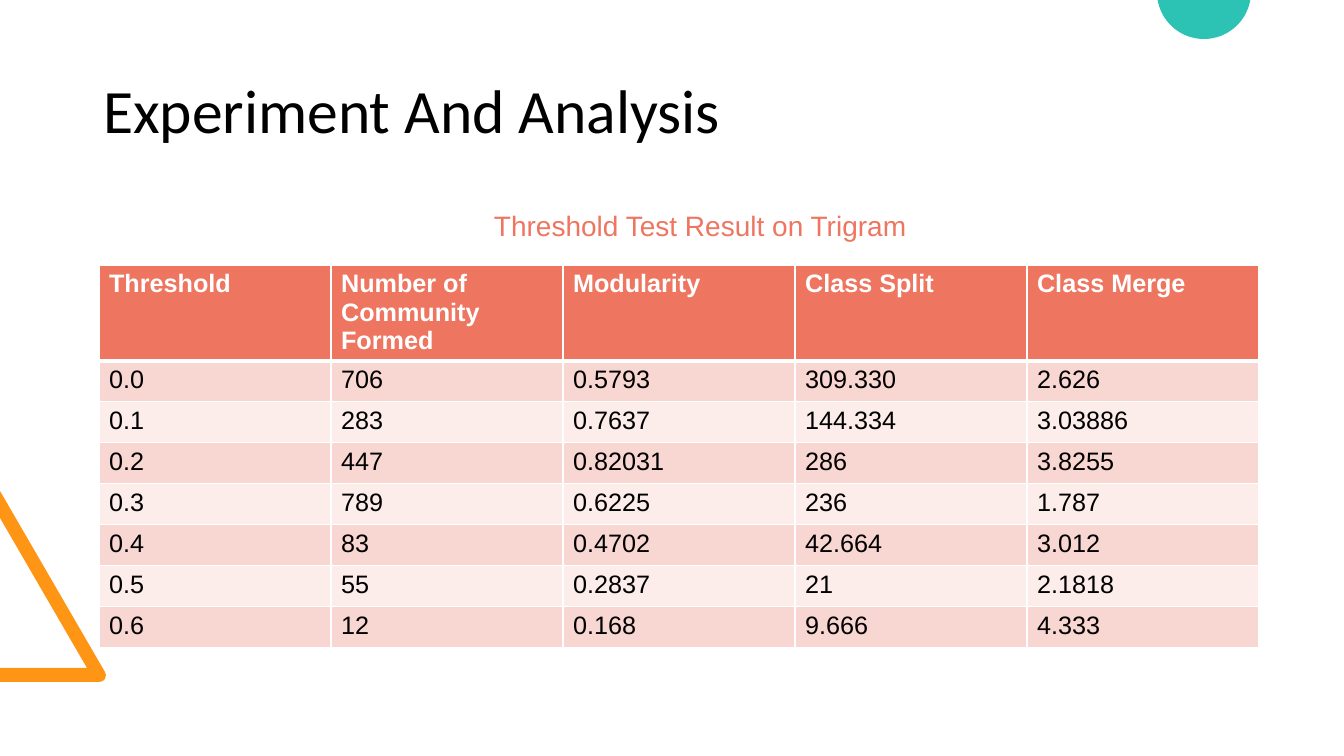
from math import asin, cos, pi, sin
from pptx import Presentation
from pptx.dml.color import RGBColor
from pptx.enum.text import MSO_ANCHOR, PP_ALIGN
from pptx.oxml import parse_xml
from pptx.oxml.ns import nsdecls

LEFT = PP_ALIGN.LEFT
MIDDLE = MSO_ANCHOR.MIDDLE
PX = 12192000 / 1344
THEME = {
    "coral": "EE7661", "rose": "F8D6D2", "blush": "FCECEA",
    "teal": "2CC3B4", "orange": "FF9514", "white": "FFFFFF", "black": "000000",
    "title": 44, "label": 20, "cell": 18,
    "head": "Calibri", "body": "Arial",
}


def px(*vals):
    return [round(v * PX) for v in vals]


def style(para, face, size, color, bold=False):
    look = {"name": THEME[face], "size": THEME[size] * 12700, "bold": bold}
    for key, val in look.items():
        setattr(para.font, key, val)
    para.font.color.rgb = RGBColor.from_string(THEME[color])


deck = Presentation()
deck.slide_width, deck.slide_height = px(1344, 756)
slide = deck.slides.add_slide(deck.slide_layouts[5])
shapes = slide.shapes

wedge = [(0, 682), (0, 668), (87, 668), (0, 518), (0, 491), (105, 672),
         (106, 675), (105, 679), (103, 681), (99, 682)]
mid, drop, rad, steps = 1204, -8, 47, 40
edge = asin(-drop / rad)
turns = [edge + (pi - 2 * edge) * i / steps for i in range(steps + 1)]
dome = [(mid + rad * cos(t), drop + rad * sin(t)) for t in turns]

for spots, color in ((wedge, "orange"), (dome, "teal")):
    first, *rest = [px(*spot) for spot in spots]
    pen = shapes.build_freeform(*first)
    pen.add_line_segments(rest)
    form = pen.convert_to_shape()
    form.fill.solid()
    form.fill.fore_color.rgb = RGBColor.from_string(THEME[color])
    form.line.fill.background()
    form.shadow.inherit = False

title = shapes.title
title.left, title.top, title.width, title.height = px(93, 41, 1159, 146)
title.text_frame.text = "Experiment And Analysis"
title.text_frame.vertical_anchor = MIDDLE
para = title.text_frame.paragraphs[0]
para.alignment = LEFT
para.line_spacing = 0.9
style(para, "head", "title", "black")

label = shapes.add_textbox(*px(484, 204, 480, 42)).text_frame
label.word_wrap = True
label.text = "Threshold Test Result on Trigram"
style(label.paragraphs[0], "body", "label", "coral")

data = [
    ("Threshold", "Number of Community Formed", "Modularity", "Class Split", "Class Merge"),
    ("0.0", "706", "0.5793", "309.330", "2.626"),
    ("0.1", "283", "0.7637", "144.334", "3.03886"),
    ("0.2", "447", "0.82031", "286", "3.8255"),
    ("0.3", "789", "0.6225", "236", "1.787"),
    ("0.4", "83", "0.4702", "42.664", "3.012"),
    ("0.5", "55", "0.2837", "21", "2.1818"),
    ("0.6", "12", "0.168", "9.666", "4.333"),
]
table = shapes.add_table(len(data), 5, *px(99, 265, 1160, 381)).table
for col in table.columns:
    col.width = px(232)[0]
for r, row in enumerate(data):
    top = r == 0
    table.rows[r].height = px(94 if top else 41)[0]
    fill = "coral" if top else ("blush", "rose")[r % 2]
    for c, text in enumerate(row):
        cell = table.cell(r, c)
        cell.text = text
        cell.fill.solid()
        cell.fill.fore_color.rgb = RGBColor.from_string(THEME[fill])
        style(cell.text_frame.paragraphs[0], "body", "cell",
              "white" if top else "black", top)
        if top:
            cell.margin_bottom = 0
            rule = parse_xml(
                f'<a:lnB {nsdecls("a")} w="38100"><a:solidFill>'
                f'<a:srgbClr val="{THEME["white"]}"/></a:solidFill></a:lnB>')
            cell._tc.get_or_add_tcPr().insert(0, rule)

deck.save("out.pptx")
